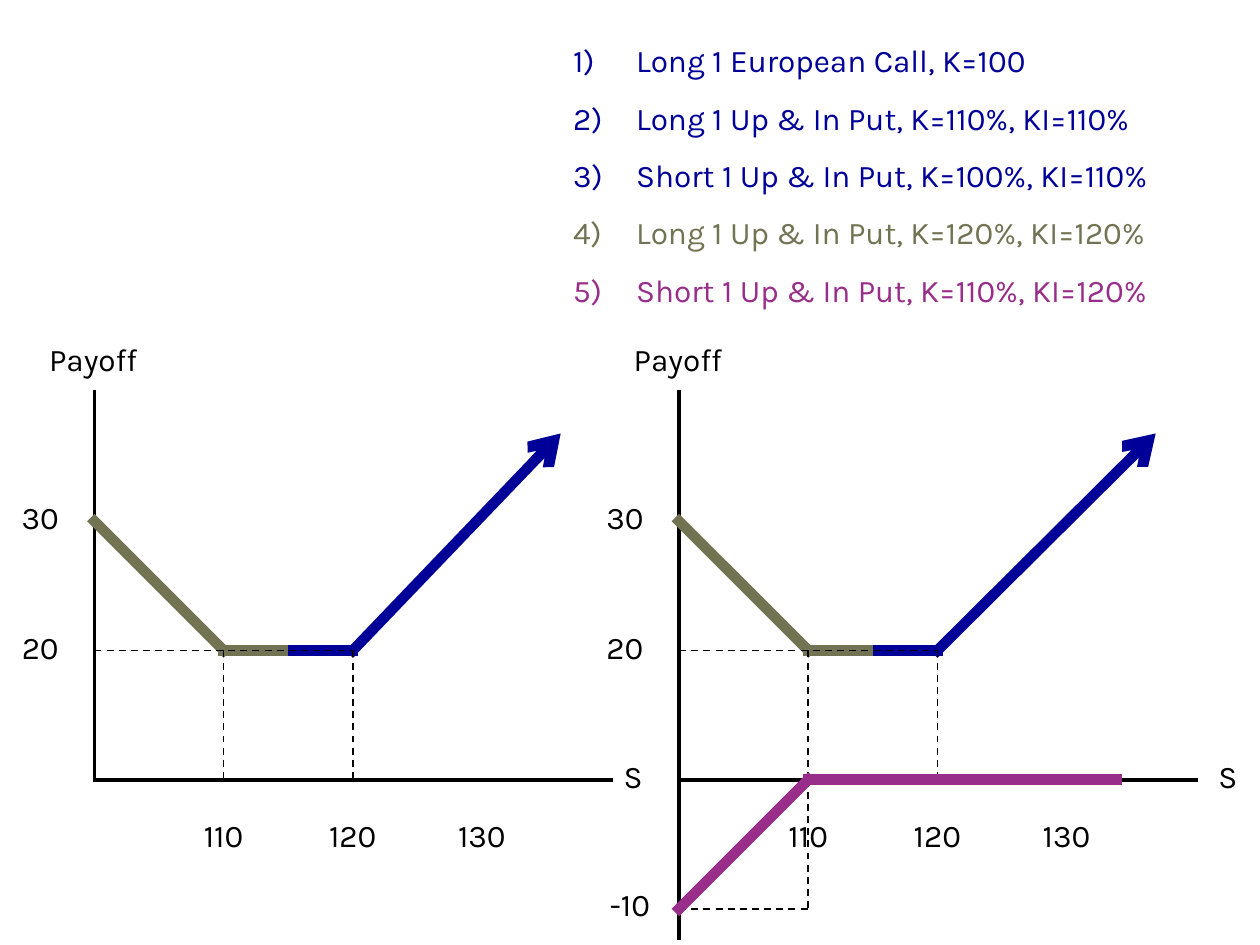
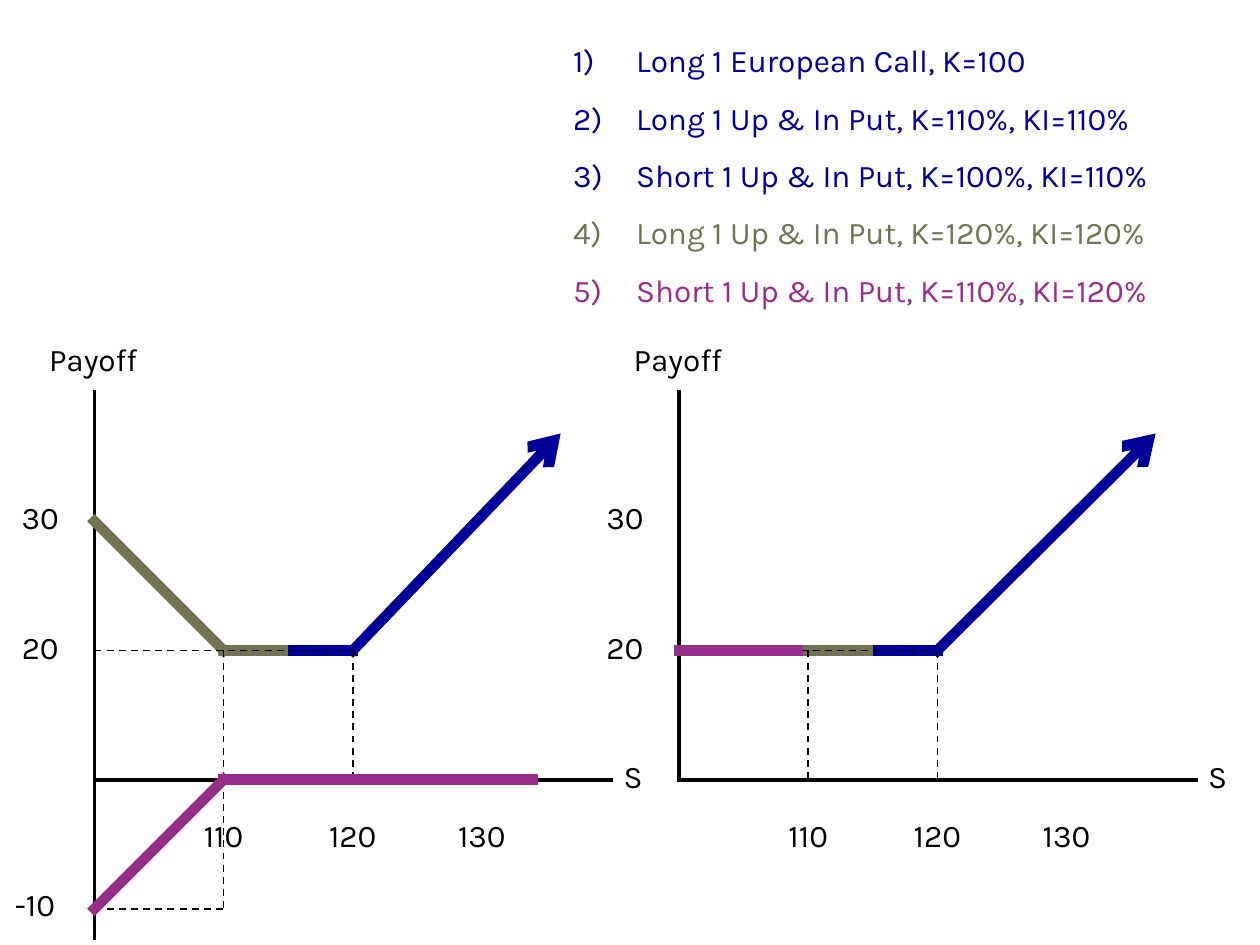
import dataclasses

import lxml.etree
import pptx
import pptx.dml.color
import pptx.enum.dml
import pptx.enum.shapes
import pptx.enum.text
import pptx.oxml.ns
import pptx.util

COLORS = {"axis": "000000", "call": "000099", "long_put": "717353", "short_put": "992D8A"}
FONT = "Karla"
TEXT_SIZE = 18
WIDTH, HEIGHT = 10, 7.5
CELL = 1.025  # inches for 10 points of spot price or payoff
LEFT_ORIGIN, RIGHT_ORIGIN = 0.075, 0.539  # shares of the slide width
BASELINE = 0.825  # share of the slide height
TEXT_HEIGHT = 0.4
STRATEGY = [
    ("Long 1 European Call, K=100", "call"),
    ("Long 1 Up & In Put, K=110%, KI=110%", "call"),
    ("Short 1 Up & In Put, K=100%, KI=110%", "call"),
    ("Long 1 Up & In Put, K=120%, KI=120%", "long_put"),
    ("Short 1 Up & In Put, K=110%, KI=120%", "short_put"),
]
ALIGN = pptx.enum.text.PP_ALIGN


@dataclasses.dataclass
class Diagram:
    """Payoff diagram; columns count from S=100, rows from the S axis."""
    slide: object
    origin: float
    arrow_column: float = 3.69
    spot_column: float = 4
    loss_column: float = -0.42

    def point(self, column, row):
        return (pptx.util.Inches(self.origin * WIDTH + column * CELL),
                pptx.util.Inches(BASELINE * HEIGHT - row * CELL))


def add_xml(parent, tag, **attributes):
    return lxml.etree.SubElement(parent, pptx.oxml.ns.qn(tag), attributes)


def rgb(color):
    return pptx.dml.color.RGBColor.from_string(COLORS[color])


def style_runs(paragraph, color):
    for run in paragraph.runs:
        run.font.name = FONT
        run.font.size = pptx.util.Pt(TEXT_SIZE)
        run.font.color.rgb = rgb(color)


def add_line(diagram, start, end, color="axis", width=6.0, dashed=False, arrow=False):
    connector = diagram.slide.shapes.add_connector(
        pptx.enum.shapes.MSO_CONNECTOR.STRAIGHT, *diagram.point(*start), *diagram.point(*end))
    connector.line.color.rgb = rgb(color)
    connector.line.width = pptx.util.Pt(width)
    outline = connector.line._get_or_add_ln()
    if dashed:
        connector.line.dash_style = pptx.enum.dml.MSO_LINE.DASH
    else:
        outline.set("cap", "sq")
    if arrow:
        add_xml(outline, "a:tailEnd", type="arrow")
    add_xml(connector._element.spPr, "a:effectLst")


def add_guides(diagram, *segments):
    for start, end in segments:
        add_line(diagram, start, end, width=1, dashed=True)


def add_label(diagram, text, column, row, width=0.63, align=ALIGN.CENTER):
    """Place a label centred on a grid point, or starting there if left-aligned."""
    x, y = diagram.point(column, row)
    box_width, box_height = pptx.util.Inches(width), pptx.util.Inches(TEXT_HEIGHT)
    if align == ALIGN.CENTER:
        x -= box_width // 2
    frame = diagram.slide.shapes.add_textbox(x, y - box_height // 2, box_width, box_height).text_frame
    frame.word_wrap = True
    frame.text = text
    frame.paragraphs[0].alignment = align
    style_runs(frame.paragraphs[0], "axis")


def add_axes(diagram, lowest_row=0):
    add_line(diagram, (0, 3), (0, lowest_row), width=2.25)
    add_line(diagram, (0, 0), (4, 0), width=2.25)
    add_label(diagram, "Payoff", -0.01, 3.26, width=0.94)
    add_label(diagram, "S", diagram.spot_column, 0.03, width=0.71, align=ALIGN.LEFT)
    for step in (1, 2, 3):
        add_label(diagram, str(100 + 10 * step), step, -0.43)
    for row in (1, 2):
        add_label(diagram, str(10 + 10 * row), -0.42, row + 0.03, width=0.55)


def add_upper_payoff(diagram, long_put_start=True):
    if long_put_start:
        add_line(diagram, (0, 2), (1, 1), "long_put")
    add_line(diagram, (1, 1), (1.46, 1), "long_put")
    add_line(diagram, (1.54, 1), (2, 1), "call")
    add_line(diagram, (2, 1), (diagram.arrow_column, 2.68), "call", arrow=True)
    add_guides(diagram, ((0, 1), (2, 1)), ((1, 1), (1, 0)), ((2, 1), (2, 0)))


def add_short_put_payoff(diagram):
    add_label(diagram, "-10", diagram.loss_column, -0.96)
    add_guides(diagram, ((0, -1), (1, -1)), ((1, 0), (1, -1)))
    add_line(diagram, (0, -1), (1, 0), "short_put")
    add_line(diagram, (1, 0), (3.39, 0), "short_put")


def add_put_spread_diagram(diagram):
    """Draw the payoff before and the short put that will cancel its left arm."""
    add_axes(diagram, lowest_row=-1.23)
    add_upper_payoff(diagram)
    add_short_put_payoff(diagram)


def add_net_diagram(diagram):
    """Draw the payoff with its left arm levelled by the short put."""
    add_axes(diagram)
    add_upper_payoff(diagram, long_put_start=False)
    add_line(diagram, (0, 1), (0.92, 1), "short_put")


def add_strategy_list(slide):
    bounds = (0.445 * WIDTH, 0.037 * HEIGHT, 0.555 * WIDTH, 0.297 * HEIGHT)
    frame = slide.shapes.add_textbox(*map(pptx.util.Inches, bounds)).text_frame
    frame.word_wrap = True
    frame.text = "\n".join(text for text, _ in STRATEGY)
    indent = pptx.util.Inches(0.5)
    for index, (paragraph, (_, color)) in enumerate(zip(frame.paragraphs, STRATEGY)):
        properties = paragraph._p.get_or_add_pPr()
        properties.set("marL", str(indent))
        properties.set("indent", str(-indent))
        add_xml(add_xml(properties, "a:buClr"), "a:srgbClr", val=COLORS[color])
        add_xml(properties, "a:buFont", typeface=FONT)
        add_xml(properties, "a:buAutoNum", type="arabicParenR")
        if index:
            paragraph.space_before = pptx.util.Pt(11.2)
        style_runs(paragraph, color)


def add_strategy_slide(deck):
    slide = deck.slides.add_slide(deck.slide_layouts[6])
    add_strategy_list(slide)
    return slide


def main():
    deck = pptx.Presentation()
    deck.slide_width, deck.slide_height = pptx.util.Inches(WIDTH), pptx.util.Inches(HEIGHT)

    adding_short_put = add_strategy_slide(deck)
    long_puts = Diagram(adding_short_put, LEFT_ORIGIN, arrow_column=3.61)
    add_axes(long_puts)
    add_upper_payoff(long_puts)
    add_put_spread_diagram(
        Diagram(adding_short_put, RIGHT_ORIGIN, spot_column=4.08, loss_column=-0.38))

    net_result = add_strategy_slide(deck)
    add_put_spread_diagram(
        Diagram(net_result, LEFT_ORIGIN, arrow_column=3.61, loss_column=-0.46))
    add_net_diagram(Diagram(net_result, RIGHT_ORIGIN))

    deck.save("out.pptx")


if __name__ == "__main__":
    main()
